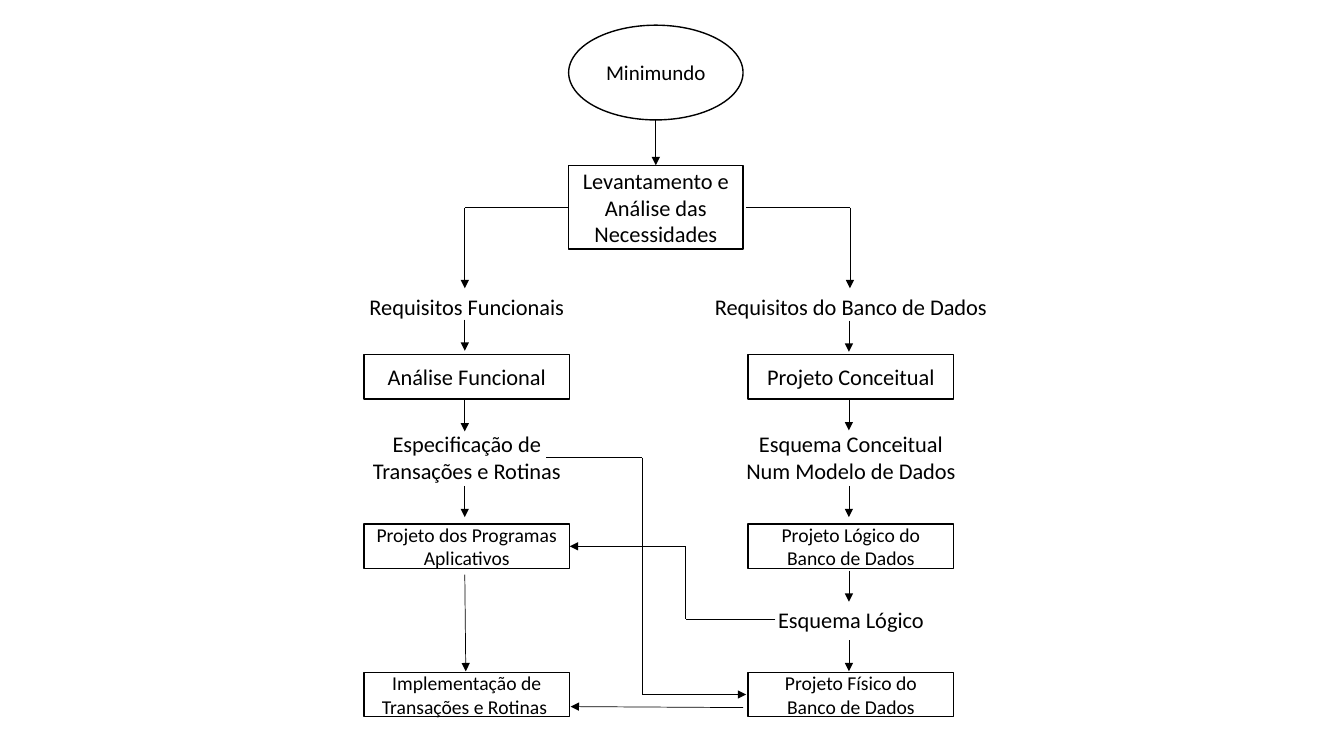
from dataclasses import dataclass

from lxml import etree
from pptx import Presentation
from pptx.dml.color import RGBColor
from pptx.enum.shapes import MSO_CONNECTOR, MSO_SHAPE
from pptx.enum.text import MSO_ANCHOR, PP_ALIGN
from pptx.oxml.ns import qn
from pptx.util import Inches, Pt


@dataclass(frozen=True)
class Theme:
    ink: RGBColor = RGBColor(0, 0, 0)
    paper: RGBColor = RGBColor(255, 255, 255)
    font: str = "Calibri"
    start: int = 15
    body: int = 16
    small: int = 14
    outline: float = 1
    arrow: float = 0.5


THEME = Theme()
BOX_W, BOX_H = 2.04, 0.44
ARROW_LEN = 0.31


def write(sp, text, size, anchor):
    tf = sp.text_frame
    tf.word_wrap = True
    tf.vertical_anchor = anchor
    p = tf.paragraphs[0]
    p.alignment = PP_ALIGN.CENTER
    for i, line in enumerate(text.split("\n")):
        if i:
            p.add_line_break()
        r = p.add_run()
        r.text = line
        r.font.name = THEME.font
        r.font.size = Pt(size)
        r.font.color.rgb = THEME.ink


def add_node(slide, x, y, w, h, text, size, kind=MSO_SHAPE.RECTANGLE):
    sp = slide.shapes.add_shape(kind, Inches(x), Inches(y), Inches(w), Inches(h))
    sp.shadow.inherit = False
    sp.fill.solid()
    sp.fill.fore_color.rgb = THEME.paper
    sp.line.color.rgb = THEME.ink
    sp.line.width = Pt(THEME.outline)
    write(sp, text, size, MSO_ANCHOR.MIDDLE)


def add_label(slide, center, y, w, text):
    h = 0.64 if "\n" in text else 0.37
    sp = slide.shapes.add_textbox(Inches(center - w / 2), Inches(y), Inches(w), Inches(h))
    write(sp, text, THEME.body, MSO_ANCHOR.TOP)


def add_route(slide, *points):
    """Straight segments through the points, with an arrowhead on the last one."""
    for start, end in zip(points, points[1:]):
        line = slide.shapes.add_connector(
            MSO_CONNECTOR.STRAIGHT, *(Inches(v) for v in start + end))
        line.line.color.rgb = THEME.ink
        line.line.width = Pt(THEME.arrow)
        props = line.element.find(qn("a:spPr")) or line.element.find(qn("p:spPr"))
        if end is points[-1]:
            etree.SubElement(props.find(qn("a:ln")), qn("a:tailEnd"), type="triangle")
        etree.SubElement(props, qn("a:effectLst"))


def add_source(slide, x, y, w):
    """Mini-world, its analysis and the two branches leaving it."""
    add_node(slide, x, y, w, 0.94, "Minimundo", THEME.start, MSO_SHAPE.OVAL)
    add_node(slide, x, y + 1.39, w, 0.83,
             "Levantamento e Análise das Necessidades", THEME.body)
    mid, branch_y = x + w / 2, y + 1.81
    add_route(slide, (mid, y + 0.94), (mid, y + 1.39))
    for edge, side in ((x, -1), (x + w + 0.03, 1)):
        turn = edge + side * 1.03
        add_route(slide, (edge, branch_y), (turn, branch_y), (turn, branch_y + 0.8))


def add_track(slide, x, y, labels, boxes, arrows):
    """One column of labels, process boxes and downward arrows."""
    for dy, w, text in labels:
        add_label(slide, x + BOX_W / 2, y + dy, w, text)
    for dy, size, text in boxes:
        add_node(slide, x, y + dy, BOX_W, BOX_H, text, size)
    for dy in arrows:
        add_route(slide, (x + 1, y + dy), (x + 1, y + dy + ARROW_LEN))


def add_cross_links(slide, left, right, y):
    """Links between the columns; left and right are their facing edges."""
    add_route(slide, (left - 0.23, y), (left + 0.72, y),
              (left + 0.72, y + 2.35), (right - 0.02, y + 2.35))
    add_route(slide, (right + 0.27, y + 1.6), (left + 1.15, y + 1.6),
              (left + 1.15, y + 0.88), (left, y + 0.88))
    add_route(slide, (right - 0.05, y + 2.48), (left + 0.01, y + 2.47))


def main():
    prs = Presentation()
    prs.slide_width, prs.slide_height = Inches(13.33), Inches(7.5)
    slide = prs.slides.add_slide(prs.slide_layouts[6])

    add_source(slide, 5.64, 0.25, 1.73)

    # Functional column
    left, right, top = 3.61, 7.42, 2.86
    add_track(
        slide, left, top,
        labels=[(0, 2.36, "Requisitos Funcionais"),
                (1.36, 2.36, "Especificação de\nTransações e Rotinas")],
        boxes=[(0.66, THEME.body, "Análise Funcional"),
               (2.34, THEME.small, "Projeto dos Programas Aplicativos"),
               (3.81, THEME.small, "Implementação de Transações e Rotinas ")],
        arrows=[0.31, 1.11, 1.96])
    add_route(slide, (left + 1, top + 2.84), (left + 1.01, top + 3.8))

    # Database column
    add_track(
        slide, right, top,
        labels=[(0, 3.02, "Requisitos do Banco de Dados"),
                (1.36, 2.61, "Esquema Conceitual\nNum Modelo de Dados"),
                (3.1, 2.61, "Esquema Lógico")],
        boxes=[(0.66, THEME.body, "Projeto Conceitual"),
               (2.34, THEME.small, "Projeto Lógico do\nBanco de Dados"),
               (3.81, THEME.small, "Projeto Físico do\nBanco de Dados")],
        arrows=[0.32, 1.1, 1.96, 2.8, 3.49])

    add_cross_links(slide, left + BOX_W, right, 4.54)
    prs.save("out.pptx")


if __name__ == "__main__":
    main()
